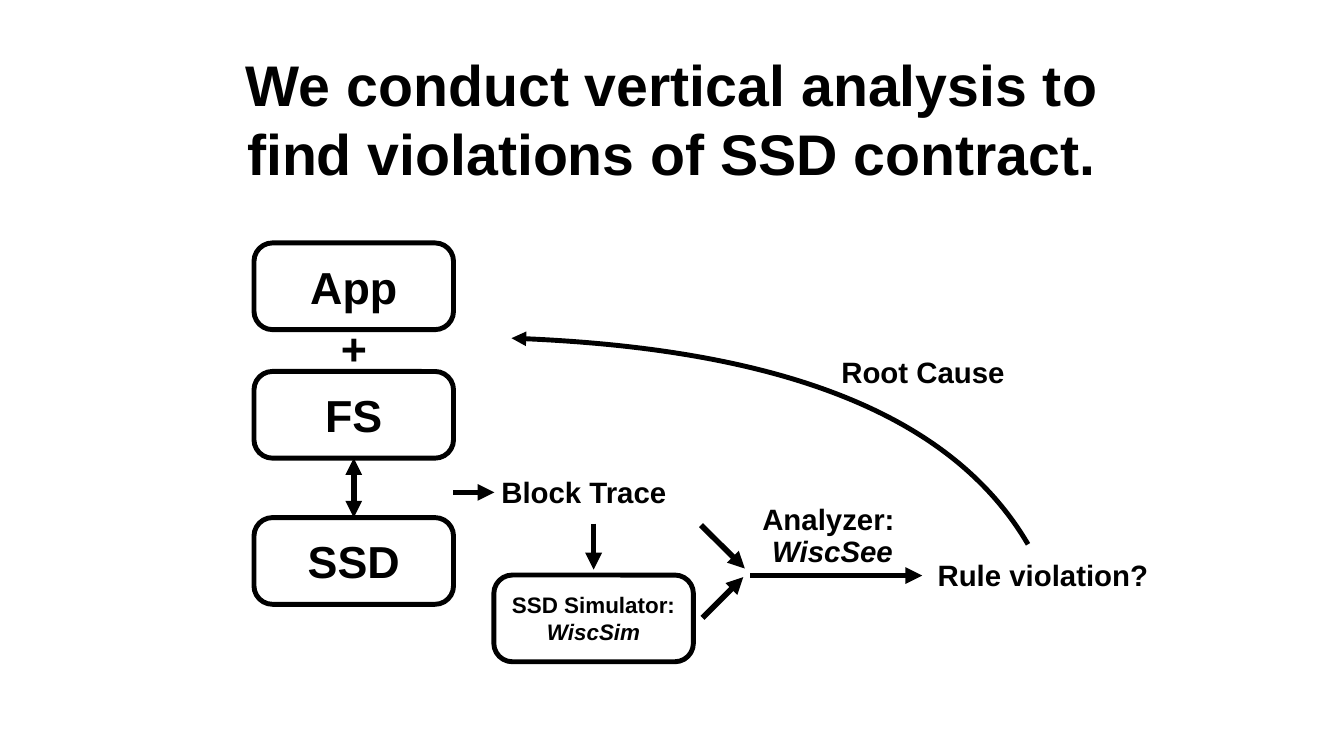
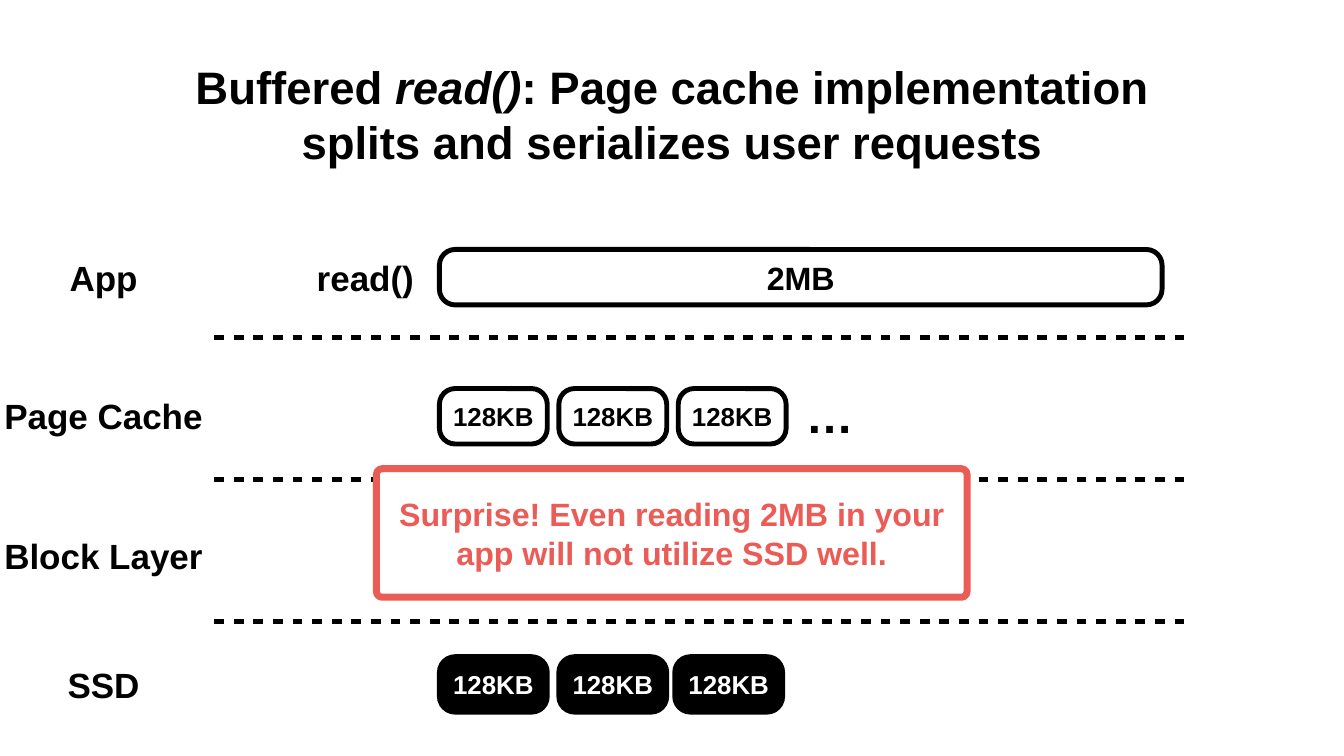
from lxml import etree
from pptx import Presentation
from pptx.dml.color import RGBColor
from pptx.enum.shapes import MSO_CONNECTOR, MSO_SHAPE
from pptx.enum.text import MSO_ANCHOR, MSO_AUTO_SIZE, PP_ALIGN
from pptx.oxml.ns import qn
from pptx.util import Emu, Pt

PX = 9144
SLIDE_W, SLIDE_H = 2667, 1500
INSET = 8
FONT = "Arial"
BLACK, WHITE, RED = "000000", "FFFFFF", "EC5C57"
BOX_LINE, ARROW_LINE, CALLOUT_LINE = 7, 8, 10

# Asterisks enclose italic words.
ANALYSIS_TITLE = ("We conduct vertical analysis to find violations of SSD contract.",
                  (480, 68, 1707, 332), 81.8)
STACK_X, STACK_W, STACK_H, STACK_RADIUS = 504, 396, 172, 0.213
STACK = [("App", 482), ("FS", 737), ("SSD", 1027)]
SIMULATOR = ("SSD Simulator: *WiscSim*", (980, 1141, STACK_W, STACK_H))
ANALYSIS_LABELS = [
    ("Block Trace", (986, 934, 345, 85)),
    ("Root Cause", (1661, 696, 341, 85)),
    ("Rule violation?", (1852, 1100, 435, 85)),
    ("Analyzer: \n*WiscSee*", (1496, 981, 312, 155)),
]
PLUS = ("+", (668, 628, 69, 123))
ARROWS = [
    (899, 977, 981, 977),
    (1178, 1039, 1178, 1130),
    (1489, 1142, 1830, 1142),
    (1394, 1226, 1475, 1145),
    (1391, 1042, 1478, 1128),
]
ROOT_CAUSE_CURVE = [(2040, 1080), (1892, 827), (1551, 690), (1015, 671)]

READ_TITLE = ("Buffered *read()*: Page cache implementation splits and serializes user requests",
              (370, 60, 1928, 332), 65)
LAYER_W, LAYER_H = 411, 99
LAYERS = [("App", 501), ("Page Cache", 776), ("Block Layer", 1052), ("SSD", 1309)]
READ_CALL = ("read()", (620, 501, 210, LAYER_H))
DIVIDER_X, DIVIDER_END, DIVIDER_Y, DIVIDER_STEP = 425, 2369, 669, 282
REQUEST_W, REQUEST_H, REQUEST_RADIUS = 214, 110, 0.283
USER_REQUEST = ("2MB", (872, 495, 1434, REQUEST_H))
SPLIT_REQUESTS = [
    (771, WHITE, BLACK, (872, 1109, 1346)),
    (1303, BLACK, WHITE, (872, 1109, 1339)),
]
MORE = ("…", (1591, 757, 111, 130))
CALLOUT = ("Surprise! Even reading 2MB in your app will not utilize SSD well.",
           (747, 930, 1172, 255))


def px(*values):
    return [Emu(v * PX) for v in values]


def rgb(color):
    return RGBColor.from_string(color)


def write(sp, text, size, color=BLACK, anchor=MSO_ANCHOR.MIDDLE, wrap=True, spacing=None):
    tf = sp.text_frame
    tf.auto_size = MSO_AUTO_SIZE.NONE
    tf.word_wrap = wrap
    tf.vertical_anchor = anchor
    tf.margin_left = tf.margin_top = tf.margin_right = tf.margin_bottom = Emu(INSET * PX)
    for i, line in enumerate(text.split("\n")):
        p = tf.add_paragraph() if i else tf.paragraphs[0]
        p.alignment = PP_ALIGN.CENTER
        if spacing:
            p.line_spacing = spacing
        for j, part in enumerate(line.split("*")):
            if part:
                r = p.add_run()
                r.text = part
                r.font.name, r.font.size = FONT, Pt(size)
                r.font.bold, r.font.italic = True, j % 2 == 1
                r.font.color.rgb = rgb(color)


def add_titled_slide(prs, title, box, size):
    slide = prs.slides.add_slide(prs.slide_layouts[5])
    sp = slide.shapes.title
    sp.left, sp.top, sp.width, sp.height = px(*box)
    write(sp, title, size)
    return slide.shapes


def add_label(shapes, text, box, size, spacing=None):
    sp = shapes.add_textbox(*px(*box))
    write(sp, text, size, anchor=MSO_ANCHOR.BOTTOM, wrap=False, spacing=spacing)


def style_line(sp, color, width):
    sp.line.color.rgb = rgb(color)
    sp.line.width = Pt(width)


def add_box(shapes, text, box, radius, size, fill=None, ink=BLACK, edge=BLACK, width=BOX_LINE):
    sp = shapes.add_shape(MSO_SHAPE.ROUNDED_RECTANGLE, *px(*box))
    sp.adjustments[0] = radius
    sp.shadow.inherit = False
    if fill:
        sp.fill.solid()
        sp.fill.fore_color.rgb = rgb(fill)
    else:
        sp.fill.background()
    style_line(sp, edge, width)
    write(sp, text, size, ink)
    return sp


def add_arrowheads(sp, *ends):
    ln = sp._element.spPr.find(qn("a:ln"))
    for end in ends:
        etree.SubElement(ln, qn(f"a:{end}")).set("type", "triangle")


def add_line(shapes, ends, width):
    sp = shapes.add_connector(MSO_CONNECTOR.STRAIGHT, *px(*ends))
    style_line(sp, BLACK, width)
    etree.SubElement(sp._element.spPr, qn("a:effectLst"))
    return sp


def add_divider(shapes, y):
    sp = add_line(shapes, (DIVIDER_X, y, DIVIDER_END, y), BOX_LINE)
    ln = sp._element.spPr.find(qn("a:ln"))
    dash = etree.SubElement(etree.SubElement(ln, qn("a:custDash")), qn("a:ds"))
    dash.set("d", "200000")
    dash.set("sp", "200000")


def add_curved_arrow(shapes, points):
    builder = shapes.build_freeform(*points[0], scale=PX)
    builder.add_line_segments(points[1:], close=False)
    sp = builder.convert_to_shape()
    segments = list(sp._element.iter(qn("a:lnTo")))
    curve = etree.Element(qn("a:cubicBezTo"))
    segments[0].addprevious(curve)
    for segment in segments:
        curve.append(segment[0])
        segment.getparent().remove(segment)
    sp.shadow.inherit = False
    sp.fill.background()
    style_line(sp, BLACK, BOX_LINE)
    add_arrowheads(sp, "tailEnd")


def build_analysis(prs):
    shapes = add_titled_slide(prs, *ANALYSIS_TITLE)
    app, fs, ssd = [add_box(shapes, name, (STACK_X, y, STACK_W, STACK_H), STACK_RADIUS, 64)
                    for name, y in STACK]
    add_label(shapes, *PLUS, 64)
    add_box(shapes, *SIMULATOR, STACK_RADIUS, 32)
    link = add_line(shapes, (0, 0, 0, 0), ARROW_LINE)
    link.begin_connect(fs, 2)
    link.end_connect(ssd, 0)
    add_arrowheads(link, "headEnd", "tailEnd")
    for ends in ARROWS:
        add_arrowheads(add_line(shapes, ends, ARROW_LINE), "tailEnd")
    add_curved_arrow(shapes, ROOT_CAUSE_CURVE)
    for text, box in ANALYSIS_LABELS:
        add_label(shapes, text, box, 42, 0.9)


def build_read(prs):
    shapes = add_titled_slide(prs, *READ_TITLE)
    for i in range(len(LAYERS) - 1):
        add_divider(shapes, DIVIDER_Y + i * DIVIDER_STEP)
    for name, y in LAYERS:
        add_label(shapes, name, (0, y, LAYER_W, LAYER_H), 50)
    add_label(shapes, *READ_CALL, 50)
    add_box(shapes, *USER_REQUEST, REQUEST_RADIUS, 46)
    for y, fill, ink, lefts in SPLIT_REQUESTS:
        for x in lefts:
            add_box(shapes, "128KB", (x, y, REQUEST_W, REQUEST_H), REQUEST_RADIUS, 37, fill, ink)
    add_label(shapes, *MORE, 68)
    add_box(shapes, *CALLOUT, 0.044, 46, WHITE, RED, RED, CALLOUT_LINE)


def main():
    prs = Presentation()
    prs.slide_width, prs.slide_height = px(SLIDE_W, SLIDE_H)
    build_analysis(prs)
    build_read(prs)
    prs.save("out.pptx")


if __name__ == "__main__":
    main()
